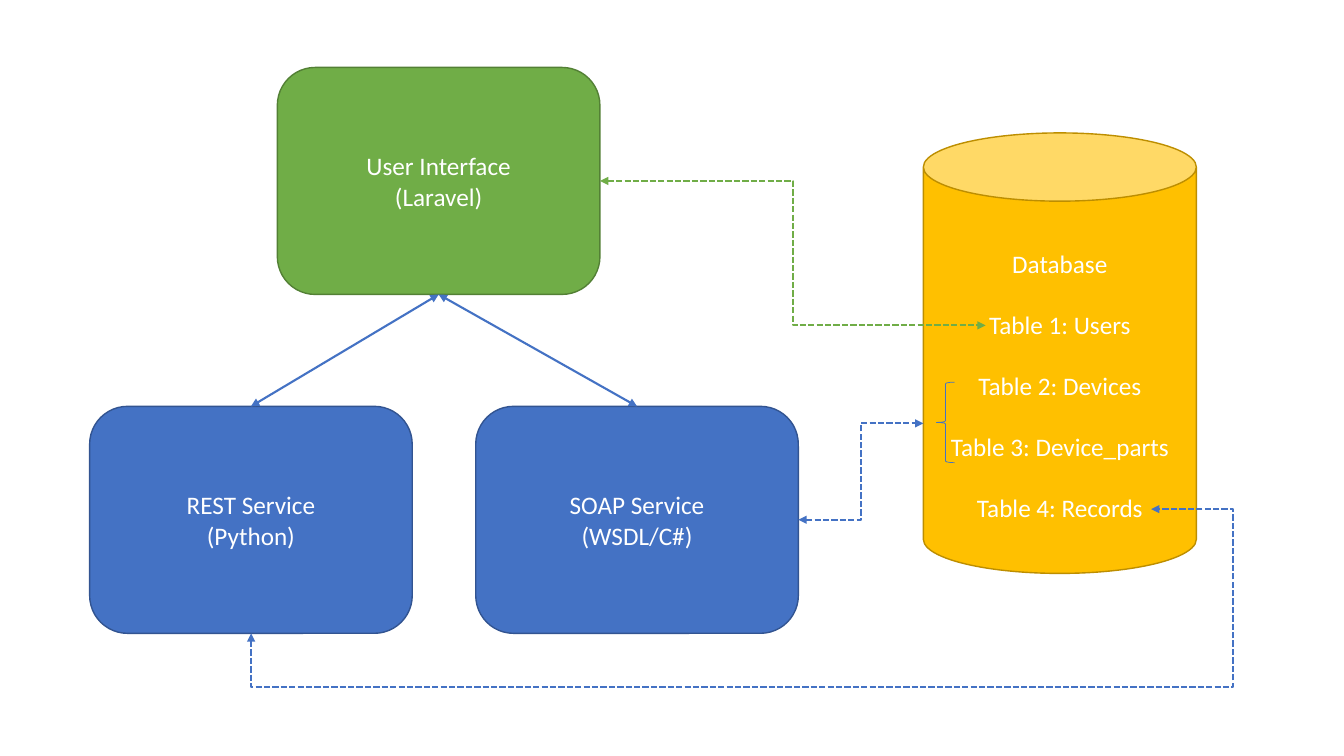
from lxml import etree
from pptx import Presentation
from pptx.dml.color import RGBColor
from pptx.enum.dml import MSO_LINE
from pptx.enum.shapes import MSO_CONNECTOR, MSO_SHAPE
from pptx.enum.text import MSO_ANCHOR, PP_ALIGN
from pptx.oxml.ns import qn
from pptx.util import Cm, Pt

ROUND, CAN, BRACE = MSO_SHAPE.ROUNDED_RECTANGLE, MSO_SHAPE.CAN, MSO_SHAPE.LEFT_BRACE
STRAIGHT, ELBOW = MSO_CONNECTOR.STRAIGHT, MSO_CONNECTOR.ELBOW
DASH = MSO_LINE.SQUARE_DOT
MIDDLE, CENTER = MSO_ANCHOR.MIDDLE, PP_ALIGN.CENTER
TOP, BOTTOM = 0, 2

GREEN, BLUE, GOLD, WHITE = "70AD47", "4472C4", "FFC000", "FFFFFF"
FONT = {"name": "Calibri", "size": Pt(18)}
FRAME = {"word_wrap": True, "vertical_anchor": MIDDLE}
WIDE, HIGH = 8.13, 5.72


def paint(form, color):
    form.solid()
    form.fore_color.rgb = RGBColor.from_string(color)


def apply(item, values):
    for name, value in values.items():
        setattr(item, name, value)


def draw(slide, kind, place, edge, width, fill=None):
    shape = slide.shapes.add_shape(kind, *map(Cm, place))
    shape.shadow.inherit = False
    if fill:
        paint(shape.fill, fill)
    else:
        shape.fill.background()
    paint(shape.line.fill, edge)
    shape.line.width = Pt(width)
    return shape


def write(shape, lines, gap=0, inset=None):
    frame = shape.text_frame
    apply(frame, {**FRAME, **(inset or {})})
    for index, text in enumerate(lines):
        para = frame.add_paragraph() if index else frame.paragraphs[0]
        apply(para, {"alignment": CENTER, "space_before": Pt(gap if index else 0)})
        run = para.add_run()
        run.text = text
        apply(run.font, FONT)
        paint(run.font.fill, WHITE)


def box(slide, left, top, fill, edge, lines):
    shape = draw(slide, ROUND, (left, top, WIDE, HIGH), edge, 1, fill)
    write(shape, lines)
    return shape


def wire(slide, kind, start, end, color, dash=None):
    link = slide.shapes.add_connector(kind, *map(Cm, (*start, *end)))
    paint(link.line.fill, color)
    link.line.width = Pt(1.5)
    if dash:
        link.line.dash_style = dash
    props = link._element.spPr
    line = props.find(qn("a:ln"))
    for tag in ("a:headEnd", "a:tailEnd"):
        etree.SubElement(line, qn(tag), type="triangle")
    etree.SubElement(props, qn("a:effectLst"))
    return link


def glue(slide, lower, upper):
    spot = (0, 0)
    link = wire(slide, STRAIGHT, spot, spot, BLUE)
    link.begin_connect(lower, TOP)
    link.end_connect(upper, BOTTOM)


def detour(slide, start, end, color, bends):
    mid = [(a + b) / 2 for a, b in zip(start, end)]
    turned = [(mid[0] + y - mid[1], mid[1] - x + mid[0]) for x, y in (start, end)]
    link = wire(slide, ELBOW, *turned, color, DASH)
    props = link._element.spPr
    props.find(qn("a:xfrm")).set("rot", "5400000")
    geom = props.find(qn("a:prstGeom"))
    geom.set("prst", "bentConnector4")
    guides = geom.find(qn("a:avLst"))
    for index, bend in enumerate(bends, 1):
        etree.SubElement(guides, qn("a:gd"), name=f"adj{index}", fmla=f"val {bend}")


def main():
    deck = Presentation()
    deck.slide_width, deck.slide_height = Cm(33.87), Cm(19.05)
    slide = deck.slides.add_slide(deck.slide_layouts[6])

    front = box(slide, 6.99, 1.7, GREEN, "538035", ["User Interface", "(Laravel)"])
    soap = box(slide, 11.99, 10.24, BLUE, "325491", ["SOAP Service", "(WSDL/C#)"])
    rest = box(slide, 2.26, 10.24, BLUE, "325491", ["REST Service", "(Python)"])
    for service in (rest, soap):
        glue(slide, service, front)

    store = draw(slide, CAN, (23.27, 3.35, 6.88, 11.1), "BD8E00", 1, GOLD)
    tables = ["Users", "Devices", "Device_parts", "Records"]
    lines = [f"Table {index}: {name}" for index, name in enumerate(tables, 1)]
    write(store, ["Database", *lines], 22, {"margin_top": Cm(0.89)})

    wire(slide, ELBOW, (15.12, 4.56), (24.84, 8.2), GREEN, DASH)
    detour(slide, (6.33, 15.96), (29.01, 12.83), BLUE, (-43400, 109100))
    wire(slide, ELBOW, (20.12, 13.1), (23.27, 10.67), BLUE, DASH)
    draw(slide, BRACE, (23.6, 9.63, 0.46, 2.03), BLUE, 0.5)

    deck.save("out.pptx")


if __name__ == "__main__":
    main()
